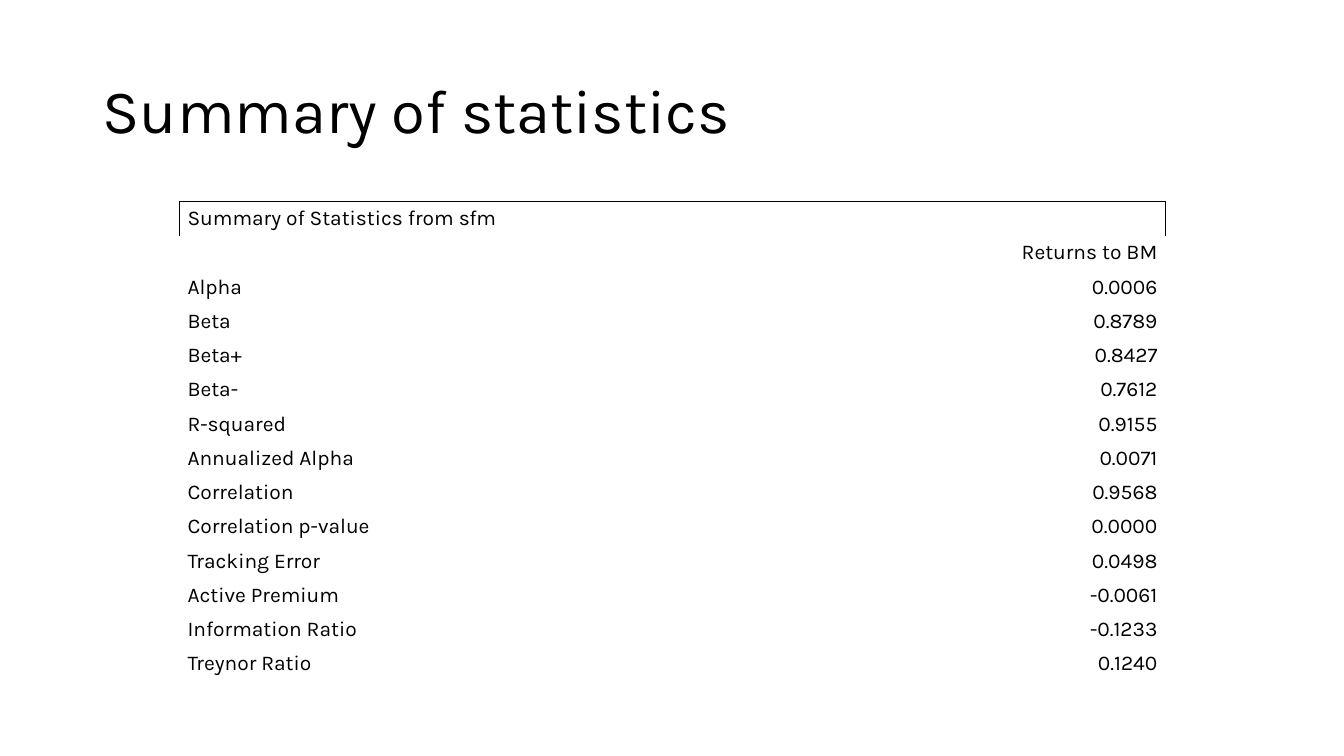
from dataclasses import dataclass

from lxml.etree import SubElement
from pptx import Presentation
from pptx.dml.color import RGBColor
from pptx.enum.text import MSO_ANCHOR as Anchor, PP_ALIGN as Align
from pptx.oxml.ns import qn
from pptx.slide import Slide
from pptx.table import Table, _Cell as Cell
from pptx.util import Emu, Pt

EMU_PER_PX = 9144  # 100 px to the inch
NO_GRID_STYLE = "{2D5ABB26-0587-4C30-8999-92F81FD0307C}"


@dataclass(frozen=True)
class Theme:
    font: str = "Karla"
    ink: str = "000000"
    title_size: float = 44
    table_size: float = 15
    border_width: float = 0.75


@dataclass(frozen=True)
class Box:
    left: int
    top: int
    width: int
    height: int

    def emu(self) -> tuple[Emu, ...]:
        return tuple(map(px, (self.left, self.top, self.width, self.height)))


@dataclass(frozen=True)
class Statistic:
    label: str
    value: str


THEME = Theme()
TITLE_BOX = Box(92, 40, 1150, 145)
TABLE_BOX = Box(178, 200, 978, 476)
ROWS = [
    Statistic("Summary of Statistics from sfm", ""),
    Statistic("", "Returns to BM"),
    Statistic("Alpha", "0.0006"),
    Statistic("Beta", "0.8789"),
    Statistic("Beta+", "0.8427"),
    Statistic("Beta-", "0.7612"),
    Statistic("R-squared", "0.9155"),
    Statistic("Annualized Alpha", "0.0071"),
    Statistic("Correlation", "0.9568"),
    Statistic("Correlation p-value", "0.0000"),
    Statistic("Tracking Error", "0.0498"),
    Statistic("Active Premium", "-0.0061"),
    Statistic("Information Ratio", "-0.1233"),
    Statistic("Treynor Ratio", "0.1240"),
]


def px(length: int) -> Emu:
    return Emu(length * EMU_PER_PX)


def format_runs(paragraph, size: float) -> None:
    for run in paragraph.runs:
        run.font.name = THEME.font
        run.font.size = Pt(size)
        run.font.color.rgb = RGBColor.from_string(THEME.ink)


def add_title(slide: Slide, text: str) -> None:
    text_frame = slide.shapes.add_textbox(*TITLE_BOX.emu()).text_frame
    text_frame.word_wrap = True
    text_frame.vertical_anchor = Anchor.MIDDLE
    text_frame.text = text
    paragraph = text_frame.paragraphs[0]
    paragraph.line_spacing = 0.9
    format_runs(paragraph, THEME.title_size)


def set_borders(cell: Cell, sides: str) -> None:
    """Draw the named sides (from L, R, T, B) and clear the others."""
    properties = cell._tc.get_or_add_tcPr()
    for side in "LRTB":
        line = SubElement(properties, qn(f"a:ln{side}"), w=str(Pt(THEME.border_width)))
        if side in sides:
            fill = SubElement(line, qn("a:solidFill"))
            SubElement(fill, qn("a:srgbClr"), val=THEME.ink)
        else:
            SubElement(line, qn("a:noFill"))


def fill_cell(cell: Cell, text: str, align: Align, sides: str) -> None:
    cell.text = text
    cell.vertical_anchor = Anchor.MIDDLE
    cell.margin_left = cell.margin_right = px(8)
    cell.margin_top = cell.margin_bottom = px(4)
    paragraph = cell.text_frame.paragraphs[0]
    paragraph.alignment = align
    format_runs(paragraph, THEME.table_size)
    if not text:  # keeps blank cells from stretching their row
        SubElement(paragraph._p, qn("a:endParaRPr"), sz=str(int(THEME.table_size * 100)))
    set_borders(cell, sides)
    cell.fill.background()


def add_statistics(slide: Slide, rows: list[Statistic]) -> Table:
    frame = slide.shapes.add_table(len(rows), 2, *TABLE_BOX.emu())
    table = frame.table
    table.first_row = table.horz_banding = False
    table._tbl.tblPr.find(qn("a:tableStyleId")).text = NO_GRID_STYLE
    for index, statistic in enumerate(rows):
        # Only the heading row is outlined
        label_sides, value_sides = ("LTRB", "TR") if index == 0 else ("", "")
        fill_cell(table.cell(index, 0), statistic.label, Align.LEFT, label_sides)
        fill_cell(table.cell(index, 1), statistic.value, Align.RIGHT, value_sides)
    table.cell(0, 0).merge(table.cell(0, 1))
    return table


def main() -> None:
    presentation = Presentation()
    presentation.slide_width = px(1333)
    presentation.slide_height = px(750)
    slide = presentation.slides.add_slide(presentation.slide_layouts[6])

    # Title
    add_title(slide, "Summary of statistics")

    # Statistics table
    add_statistics(slide, ROWS)

    presentation.save("out.pptx")


if __name__ == "__main__":
    main()
